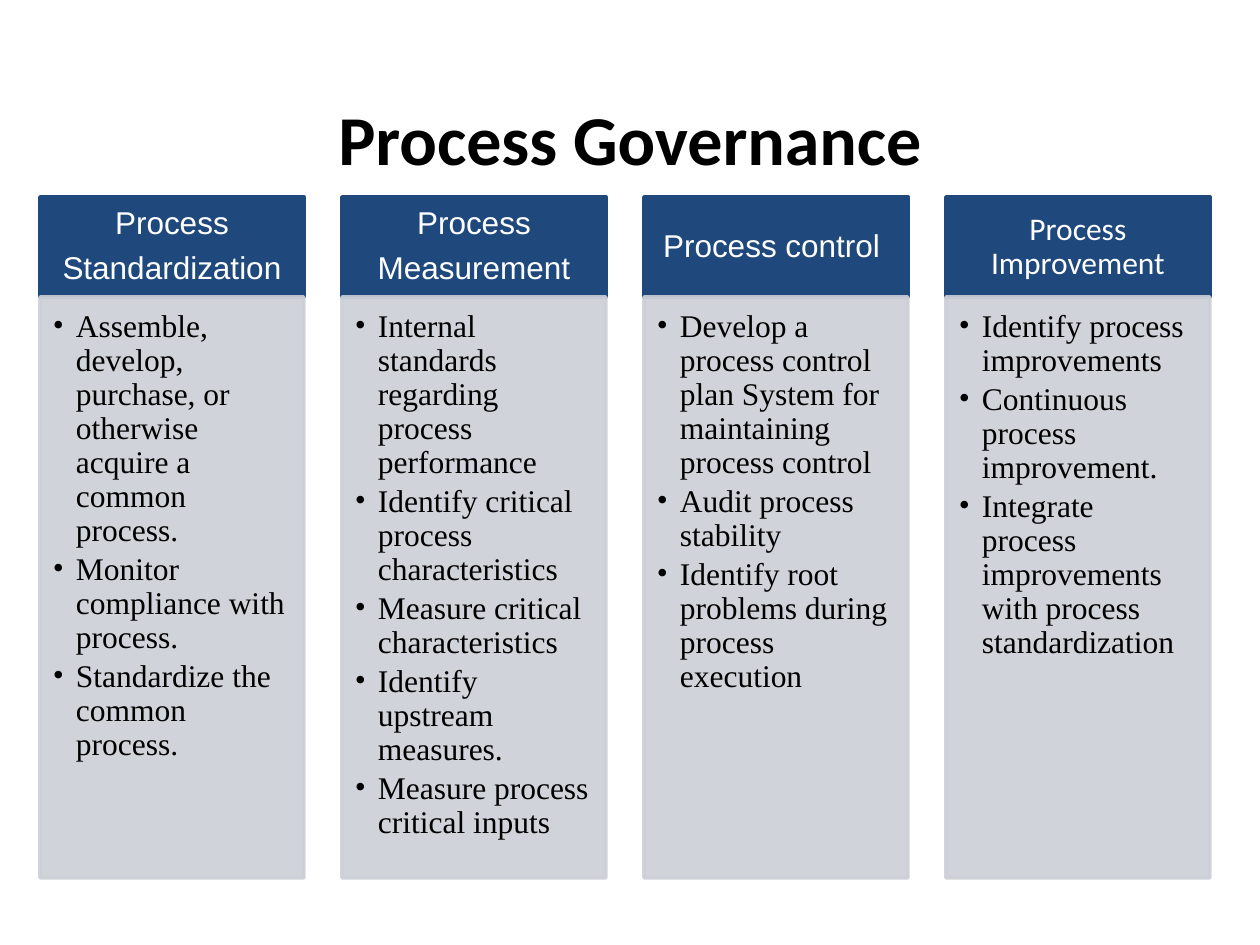
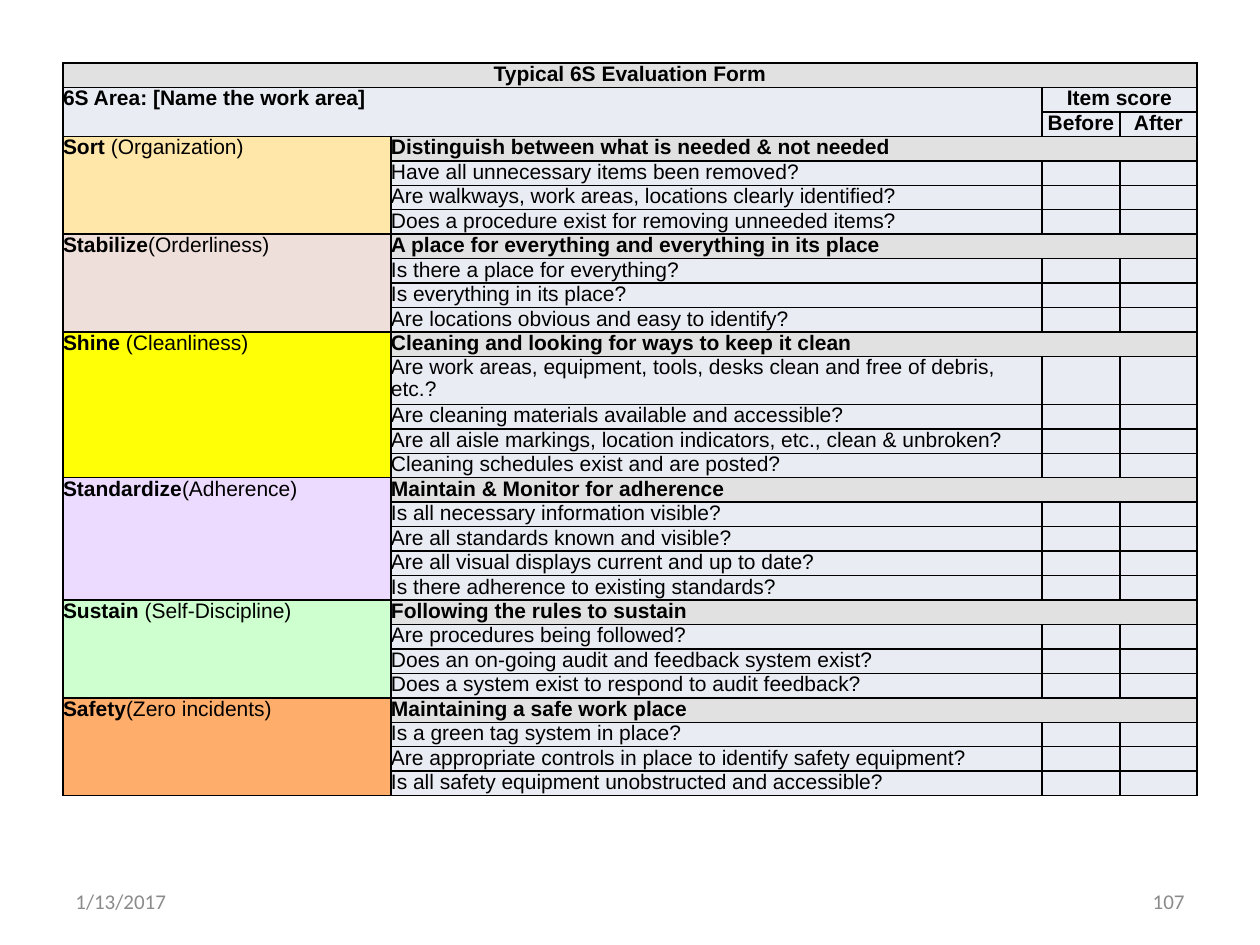
import pptx
import pptx.util
import pptx.dml.color
import pptx.enum.shapes
import pptx.enum.text
import pptx.oxml
import pptx.oxml.ns
import lxml.etree

GOVERNANCE_TITLE = "Process Governance"
GOVERNANCE = [
    (["Process", "Standardization"], "Arial", [
        "Assemble, develop, purchase, or otherwise acquire a common process.",
        "Monitor compliance with process.",
        "Standardize the common process.",
    ]),
    (["Process", "Measurement"], "Arial", [
        "Internal standards regarding process performance",
        "Identify critical process characteristics",
        "Measure critical characteristics",
        "Identify upstream measures.",
        "Measure process critical inputs",
    ]),
    (["Process control "], "Arial", [
        "Develop a process control plan System for maintaining process control",
        "Audit process stability",
        "Identify root problems during process execution",
    ]),
    (["Process Improvement"], "Calibri", [
        "Identify process improvements",
        "Continuous process improvement.",
        "Integrate process improvements with process standardization",
    ]),
]

FORM_TITLE = "Typical 6S Evaluation Form"
FORM_AREA = "6S Area: [Name the work area]"
FORM_SCORE = "Item score"
FORM_TIMES = ["Before", "After"]
FORM = [
    ("Sort", " (Organization)", "FFE7AA", "Distinguish between what is needed & not needed", [
        "Have all unnecessary items been removed?",
        "Are walkways, work areas, locations clearly identified?",
        "Does a procedure exist for removing unneeded items?",
    ]),
    ("Stabilize", "(Orderliness)", "EEDFDA", "A place for everything and everything in its place", [
        "Is there a place for everything?",
        "Is everything in its place?",
        "Are locations obvious and easy to identify?",
    ]),
    ("Shine", " (Cleanliness)", "FFFF06", "Cleaning and looking for ways to keep it clean", [
        "Are work areas, equipment, tools, desks clean and free of debris, etc.?",
        "Are cleaning materials available and accessible?",
        "Are all aisle markings, location indicators, etc., clean & unbroken?",
        "Cleaning schedules exist and are posted?",
    ]),
    ("Standardize", "(Adherence)", "ECDAFF", "Maintain & Monitor for adherence", [
        "Is all necessary information visible?",
        "Are all standards known and visible?",
        "Are all visual displays current and up to date?",
        "Is there adherence to existing standards?",
    ]),
    ("Sustain", " (Self-Discipline)", "CEFFCE", "Following the rules to sustain", [
        "Are procedures being followed?",
        "Does an on-going audit and feedback system exist?",
        "Does a system exist to respond to audit feedback?",
    ]),
    ("Safety", "(Zero incidents)", "FFAD6A", "Maintaining a safe work place", [
        "Is a green tag system in place?",
        "Are appropriate controls in place to identify safety equipment?",
        "Is all safety equipment unobstructed and accessible?",
    ]),
]
DATE, PAGE = "1/13/2017", "107"

BLACK, WHITE, NAVY, PANEL = "000000", "FFFFFF", "1F497D", "CCCFD7"
HEADING_GREY, CELL, FOOTER_GREY = "E1E1E1", "E9ECF3", "8B8B8B"
PANEL_ALPHA = 90

PX_PER_INCH = 126
MARGIN, CONTENT_W = 63, 1134
TITLE_TOP, TITLE_H = 59, 158
COLUMN_LEFT, COLUMN_STEP, COLUMN_W = 40, 302, 264
HEADER_TOP, HEADER_H, PANEL_H = 197, 100, 581
BULLET_INDENT = 23
FORM_TOP, FORM_H, FORM_COLUMNS = 63, 714, [328, 651, 78, 77]
WRAPPED_ROW = 12
FORM_SIZE, BLANK_SIZE = 12, 8
FOOTER_TOP, FOOTER_W, FOOTER_H = 876, 294, 50

ALIGN = pptx.enum.text.PP_ALIGN
ANCHOR = pptx.enum.text.MSO_ANCHOR


def px(length):
    return pptx.util.Emu(round(length * pptx.util.Inches(1) / PX_PER_INCH))


def box(*lengths):
    return [px(length) for length in lengths]


def color(value):
    return pptx.dml.color.RGBColor.from_string(value)


def paint(fill, value):
    fill.solid()
    fill.fore_color.rgb = color(value)


def style(paragraph, size, face, value, bold=False, align=ALIGN.LEFT):
    font = paragraph.font
    font.size, font.name, font.bold = pptx.util.Pt(size), face, bold
    font.color.rgb = color(value)
    paragraph.alignment = align


def inset(target, left, top, right, bottom):
    target.margin_left, target.margin_top, target.margin_right, target.margin_bottom = box(
        left, top, right, bottom)


def add_panel(slide, place, fill, insets, anchor, lines, space_after):
    panel = slide.shapes.add_shape(pptx.enum.shapes.MSO_SHAPE.RECTANGLE, *box(*place))
    panel.shadow.inherit = False
    paint(panel.fill, fill)
    paint(panel.line.fill, fill)
    panel.line.width = pptx.util.Pt(2)
    frame = panel.text_frame
    frame.word_wrap, frame.vertical_anchor = True, anchor
    inset(frame, *insets)
    frame.text = "\n".join(lines)
    for paragraph in frame.paragraphs:
        paragraph.line_spacing = 0.9
        paragraph.space_after = pptx.util.Pt(space_after)
    return panel


def make_translucent(panel, percent):
    for tint in panel.element.spPr.iter(pptx.oxml.ns.qn("a:srgbClr")):
        lxml.etree.SubElement(tint, pptx.oxml.ns.qn("a:alpha"), val=str(percent * 1000))


def add_bullet(paragraph, face):
    paragraph.level = 1
    props = paragraph._p.get_or_add_pPr()
    props.set("marL", str(px(BULLET_INDENT)))
    props.set("indent", str(px(-BULLET_INDENT)))
    run_defaults = props.find(pptx.oxml.ns.qn("a:defRPr"))
    for tag, attributes in (("a:buFont", {"typeface": face}), ("a:buChar", {"char": "•"})):
        run_defaults.addprevious(lxml.etree.Element(pptx.oxml.ns.qn(tag), attributes))


def build_governance(deck):
    slide = deck.slides.add_slide(deck.slide_layouts[5])
    title = slide.shapes.title
    title.left, title.top, title.width, title.height = box(MARGIN, TITLE_TOP, CONTENT_W, TITLE_H)
    title.text_frame.text = GOVERNANCE_TITLE
    title.text_frame.vertical_anchor = ANCHOR.MIDDLE
    style(title.text_frame.paragraphs[0], 40, "Calibri", BLACK, True, ALIGN.CENTER)
    for index, (heading, face, duties) in enumerate(GOVERNANCE):
        left = COLUMN_LEFT + index * COLUMN_STEP
        header = add_panel(slide, (left, HEADER_TOP, COLUMN_W, HEADER_H), NAVY,
                           (18, 10, 18, 10), ANCHOR.MIDDLE, heading, 6.4)
        for paragraph in header.text_frame.paragraphs:
            style(paragraph, 18, face, WHITE, align=ALIGN.CENTER)
        body = add_panel(slide, (left, HEADER_TOP + HEADER_H, COLUMN_W, PANEL_H), PANEL,
                         (13, 13, 17, 20), ANCHOR.TOP, duties, 2.8)
        make_translucent(body, PANEL_ALPHA)
        for paragraph in body.text_frame.paragraphs:
            style(paragraph, 18, "Times New Roman", BLACK)
            add_bullet(paragraph, "Times New Roman")


def add_border(cell):
    props = cell._tc.get_or_add_tcPr()
    for side in ("lnL", "lnR", "lnT", "lnB"):
        line = lxml.etree.SubElement(props, pptx.oxml.ns.qn("a:" + side), w="12192")
        solid = lxml.etree.SubElement(line, pptx.oxml.ns.qn("a:solidFill"))
        lxml.etree.SubElement(solid, pptx.oxml.ns.qn("a:srgbClr"), val=BLACK)


def write(cell, text, fill=CELL, bold=False, align=ALIGN.LEFT, detail=""):
    paint(cell.fill, fill)
    paragraph = cell.text_frame.paragraphs[0]
    style(paragraph, FORM_SIZE, "Arial", BLACK, bold, align)
    paragraph.add_run().text = text
    if detail:
        extra = paragraph.add_run()
        extra.text, extra.font.bold = detail, False


def add_footer(slide, left, text, align):
    footer = slide.shapes.add_textbox(*box(left, FOOTER_TOP, FOOTER_W, FOOTER_H)).text_frame
    footer.word_wrap, footer.vertical_anchor = True, ANCHOR.MIDDLE
    footer.text = text
    style(footer.paragraphs[0], 12, "Calibri", FOOTER_GREY, align=align)


def build_form(deck):
    slide = deck.slides.add_slide(deck.slide_layouts[6])
    add_footer(slide, MARGIN, DATE, ALIGN.LEFT)
    add_footer(slide, MARGIN + CONTENT_W - FOOTER_W, PAGE, ALIGN.RIGHT)

    row_count = 3 + sum(1 + len(questions) for *_, questions in FORM)
    form = slide.shapes.add_table(row_count, len(FORM_COLUMNS),
                                  *box(MARGIN, FORM_TOP, CONTENT_W, FORM_H)).table
    form.first_row = form.horz_banding = False
    for column, width in zip(form.columns, FORM_COLUMNS):
        column.width = px(width)
    for index, row in enumerate(form.rows):
        row.height = px(FORM_H / (row_count + 1) * (2 if index == WRAPPED_ROW else 1))
    for cell in form.iter_cells():
        inset(cell, 0, 1, 0, 0)
        add_border(cell)
        paint(cell.fill, CELL)
        paragraph = cell.text_frame.paragraphs[0]
        paragraph.line_spacing = 0.93
        style(paragraph, BLANK_SIZE, "Arial", BLACK)

    def merge(row, column, last_row, last_column):
        first = form.cell(row, column)
        first.merge(form.cell(last_row, last_column))
        return first

    write(merge(0, 0, 0, 3), FORM_TITLE, HEADING_GREY, True, ALIGN.CENTER)
    write(merge(1, 0, 2, 1), FORM_AREA, bold=True)
    write(merge(1, 2, 1, 3), FORM_SCORE, bold=True, align=ALIGN.CENTER)
    for column, time in enumerate(FORM_TIMES, 2):
        write(form.cell(2, column), time, bold=True, align=ALIGN.CENTER)

    top = 3
    for step, meaning, fill, goal, questions in FORM:
        write(merge(top, 0, top + len(questions), 0), step, fill, True, detail=meaning)
        write(merge(top, 1, top, 3), goal, HEADING_GREY, True)
        for row, question in enumerate(questions, top + 1):
            write(form.cell(row, 1), question)
        top += 1 + len(questions)


def main():
    deck = pptx.Presentation()
    deck.slide_width, deck.slide_height = box(1260, 945)
    build_governance(deck)
    build_form(deck)
    deck.save("out.pptx")


if __name__ == "__main__":
    main()
